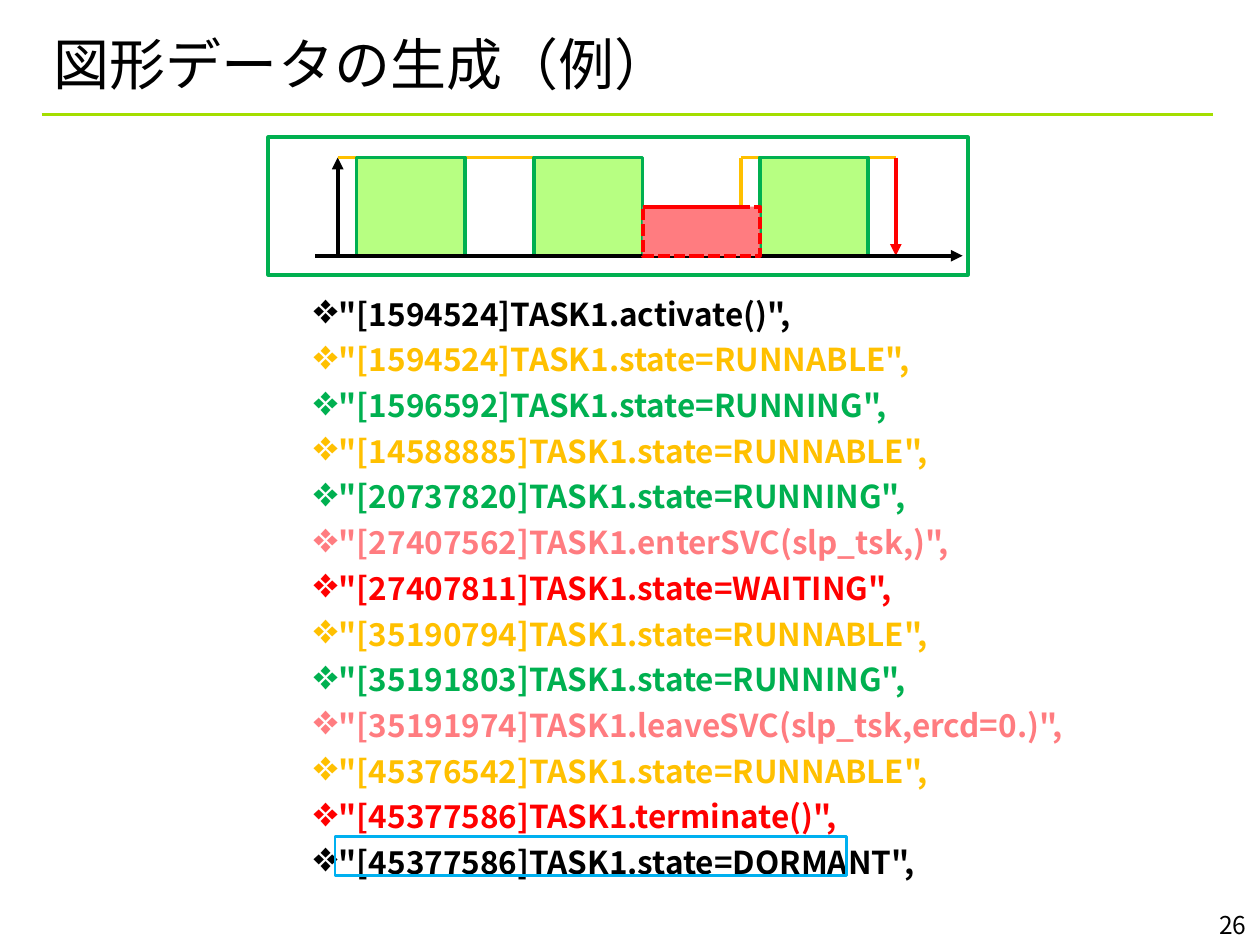
import pptx
import pptx.dml.color
import pptx.enum.dml
import pptx.enum.shapes
import pptx.enum.text
import pptx.oxml
import pptx.oxml.ns
import pptx.util
from lxml import etree

Inches, Pt = pptx.util.Inches, pptx.util.Pt
qn = pptx.oxml.ns.qn
ALIGN = pptx.enum.text.PP_ALIGN
ANCHOR = pptx.enum.text.MSO_ANCHOR

FONT = "Noto Sans CJK JP"
COLORS = {
    "black": "000000",
    "rule": "A4DE00",
    "runnable": "FFC000",
    "running": "00B050",
    "running_fill": "6EFF01",
    "service": "FF7C80",
    "waiting": "FF0000",
    "highlight": "00B0F0",
}
LOG = [
    ("[1594524]TASK1.activate()", "black"),
    ("[1594524]TASK1.state=RUNNABLE", "runnable"),
    ("[1596592]TASK1.state=RUNNING", "running"),
    ("[14588885]TASK1.state=RUNNABLE", "runnable"),
    ("[20737820]TASK1.state=RUNNING", "running"),
    ("[27407562]TASK1.enterSVC(slp_tsk,)", "service"),
    ("[27407811]TASK1.state=WAITING", "waiting"),
    ("[35190794]TASK1.state=RUNNABLE", "runnable"),
    ("[35191803]TASK1.state=RUNNING", "running"),
    ("[35191974]TASK1.leaveSVC(slp_tsk,ercd=0.)", "service"),
    ("[45376542]TASK1.state=RUNNABLE", "runnable"),
    ("[45377586]TASK1.terminate()", "waiting"),
    ("[45377586]TASK1.state=DORMANT", "black"),
]


def rgb(name):
    return pptx.dml.color.RGBColor.from_string(COLORS[name])


def add_line(page, start, end, color, width=2.25, arrow=False):
    line = page.shapes.add_connector(
        pptx.enum.shapes.MSO_CONNECTOR.STRAIGHT,
        *(Inches(value) for value in (*start, *end)))
    line.line.color.rgb = rgb(color)
    line.line.width = Pt(width)
    if arrow:
        etree.SubElement(line.line._get_or_add_ln(), qn("a:tailEnd"), type="triangle")
    etree.SubElement(line._element.spPr, qn("a:effectLst"))
    return line


def add_box(page, box, color, width=2.25, fill=None, opacity=None):
    shape = page.shapes.add_shape(
        pptx.enum.shapes.MSO_SHAPE.RECTANGLE, *(Inches(value) for value in box))
    shape.shadow.inherit = False
    shape.line.color.rgb = rgb(color)
    shape.line.width = Pt(width)
    if fill is None:
        shape.fill.background()
        return shape
    shape.fill.solid()
    shape.fill.fore_color.rgb = rgb(fill)
    if opacity:
        tint = shape._element.spPr.find(qn("a:solidFill"))[0]
        etree.SubElement(tint, qn("a:alpha"), val=str(opacity * 1000))
    return shape


def add_text_frame(page, box):
    frame = page.shapes.add_textbox(*(Inches(value) for value in box)).text_frame
    frame.word_wrap = True
    return frame


def style_text(para, size, color="black", bold=False):
    for span in para.runs:
        span.font.size = Pt(size)
        span.font.bold = bold
        span.font.color.rgb = rgb(color)
        span.font.name = FONT
        etree.SubElement(span._r.get_or_add_rPr(), qn("a:ea"), typeface=FONT)


def add_bullet(para, color):
    properties = para._p.get_or_add_pPr()
    properties.set("marL", str(Inches(0.2)))
    properties.set("indent", str(Inches(-0.2)))
    tint = etree.SubElement(properties, qn("a:buClr"))
    etree.SubElement(tint, qn("a:srgbClr"), val=COLORS[color])
    etree.SubElement(properties, qn("a:buSzPct"), val="135000")
    etree.SubElement(properties, qn("a:buChar"), char="❖")


def add_title(page, box):
    left, top, width, height = box
    add_line(page, (left, top + 0.66), (left + 9.3, top + 0.66), "rule", 1.5)
    frame = add_text_frame(page, box)
    frame.vertical_anchor = ANCHOR.MIDDLE
    frame.text = "図形データの生成（例）"
    style_text(frame.paragraphs[0], 32)


def add_log(page, box):
    frame = add_text_frame(page, box)
    frame.margin_left = Inches(0.13)
    frame.text = "\n".join(f'"{entry}",' for entry, color in LOG)
    for index, (para, (entry, color)) in enumerate(zip(frame.paragraphs, LOG)):
        if index:
            para.space_before = Pt(4.5)
        add_bullet(para, color)
        style_text(para, 18, color, bold=True)


def add_page_number(page, box):
    frame = add_text_frame(page, box)
    frame.text = "26"
    frame.paragraphs[0].alignment = ALIGN.RIGHT
    style_text(frame.paragraphs[0], 14)


def add_timeline(page, box):
    """Draw the task states as blocks and levels over a time axis."""
    left, top, width, height = box
    high, base = top + 0.16, top + 0.94
    middle = (high + base) / 2
    block_width, block_height = 0.86, base - high
    activate, terminate = left + 0.55, left + 4.98
    blocks = [left + offset for offset in (0.7, 2.11, 3.9)]
    ends = [block + block_width for block in blocks]
    wake = left + 3.75

    add_line(page, (activate, base), (activate, high), "black", arrow=True)
    for start, end in ((activate, blocks[0]), (ends[0], blocks[1]),
                       (ends[2], terminate), (wake, blocks[2])):
        add_line(page, (start, high), (end, high), "runnable")
    add_line(page, (terminate, high), (terminate, base), "waiting", arrow=True)
    running = [add_box(page, (block, high, block_width, block_height),
                       "running", fill="running_fill", opacity=49)
               for block in blocks]
    add_line(page, (wake, middle), (wake, high), "runnable")
    add_box(page, box, "running")
    add_line(page, (left + 0.37, base), (left + 5.51, base), "black", arrow=True)
    service = add_box(page, (ends[1], middle, blocks[2] - ends[1], base - middle),
                      "waiting", fill="service")
    service.line.dash_style = pptx.enum.dml.MSO_LINE.SQUARE_DOT
    level = add_line(page, (ends[1], middle), (wake, middle), "waiting")
    level.begin_connect(running[1], 3)


def main():
    deck = pptx.Presentation()
    deck.slide_width, deck.slide_height = Inches(10), Inches(7.5)
    page = deck.slides.add_slide(deck.slide_layouts[6])
    add_title(page, (0.33, 0.25, 9.25, 0.5))
    add_log(page, (2.36, 2.29, 6.31, 5.13))
    add_page_number(page, (9.08, 7.17, 0.91, 0.33))
    add_box(page, (2.66, 6.64, 4.06, 0.31), "highlight", 1.5)
    add_timeline(page, (2.13, 1.09, 5.55, 1.09))
    deck.save("out.pptx")


if __name__ == "__main__":
    main()
